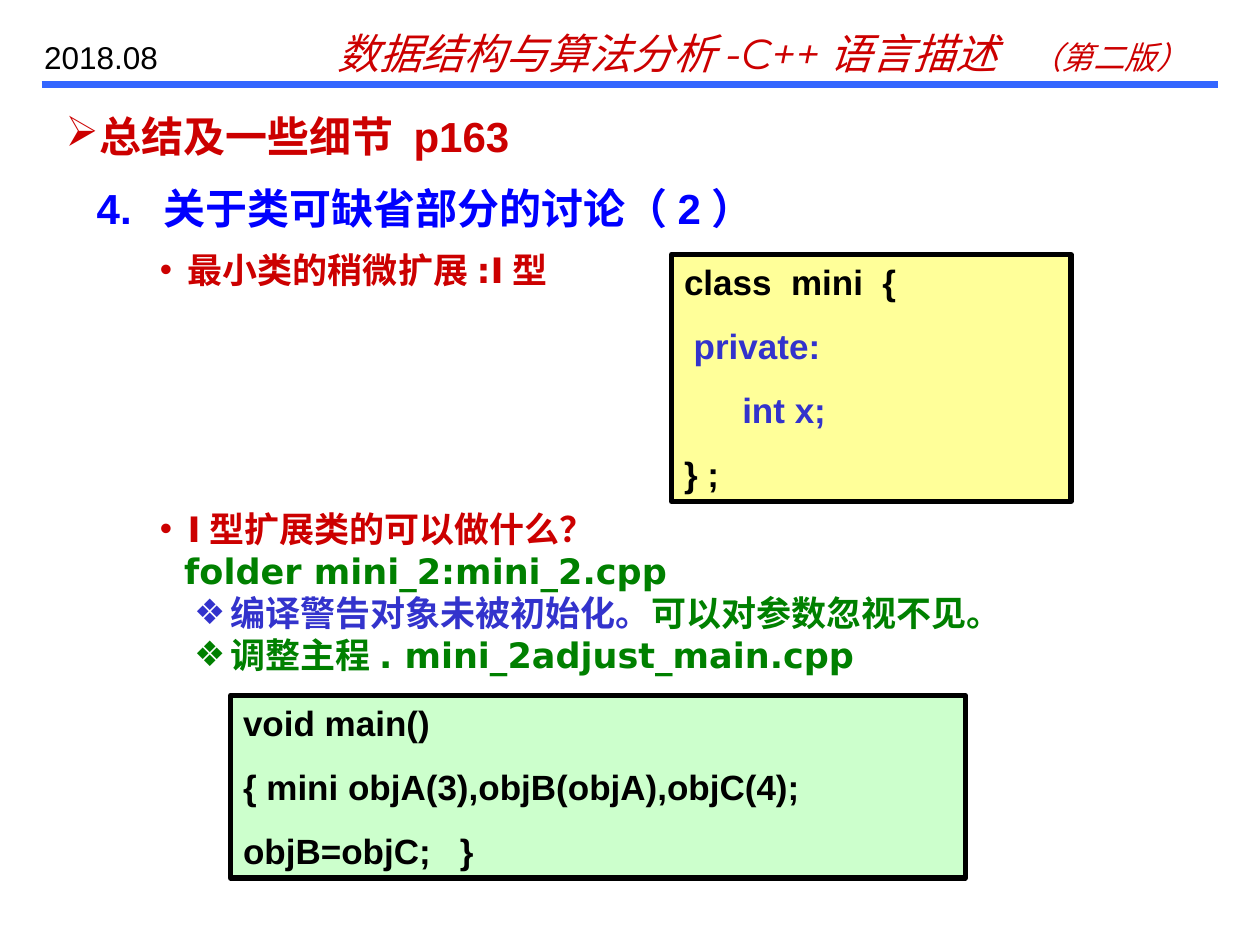
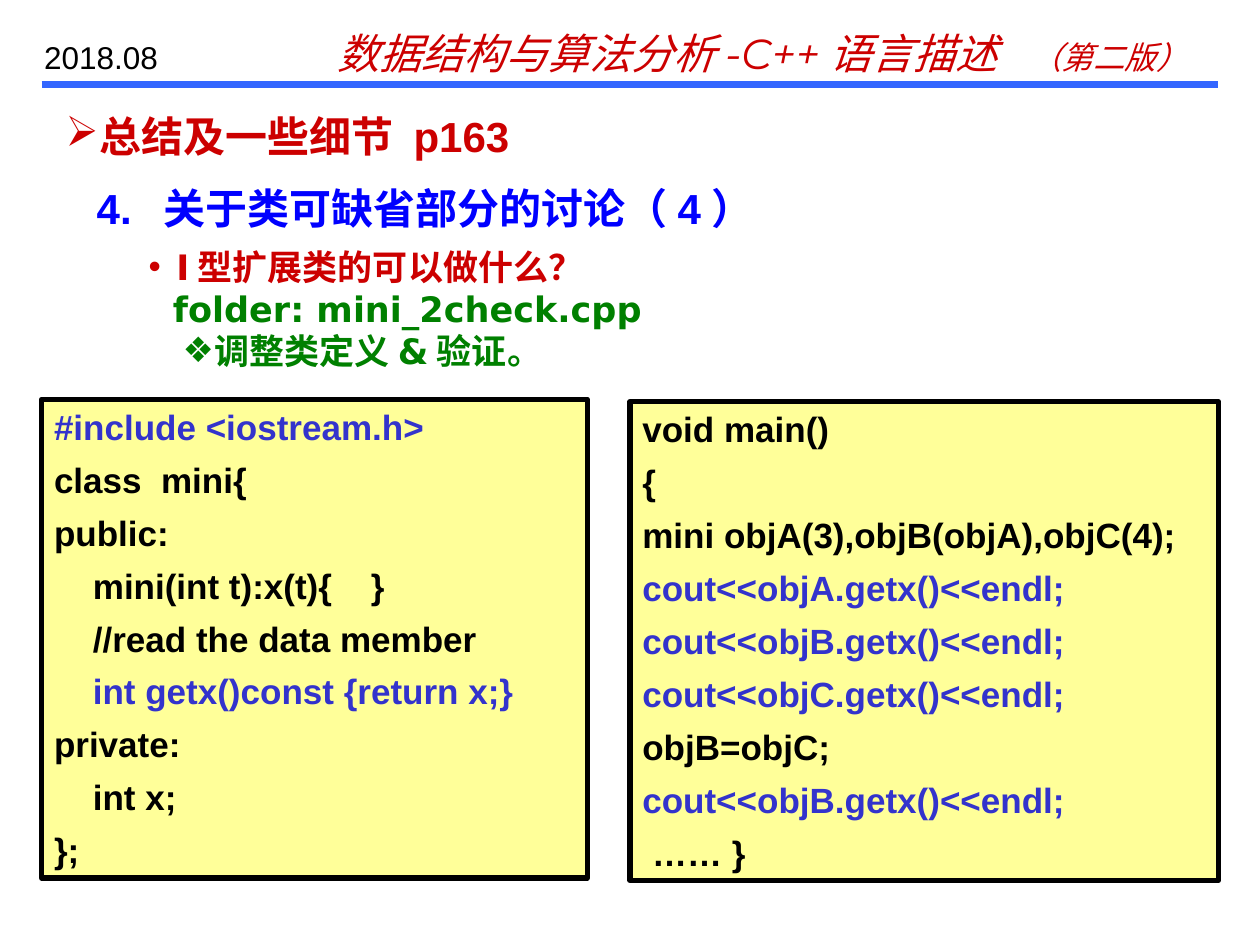
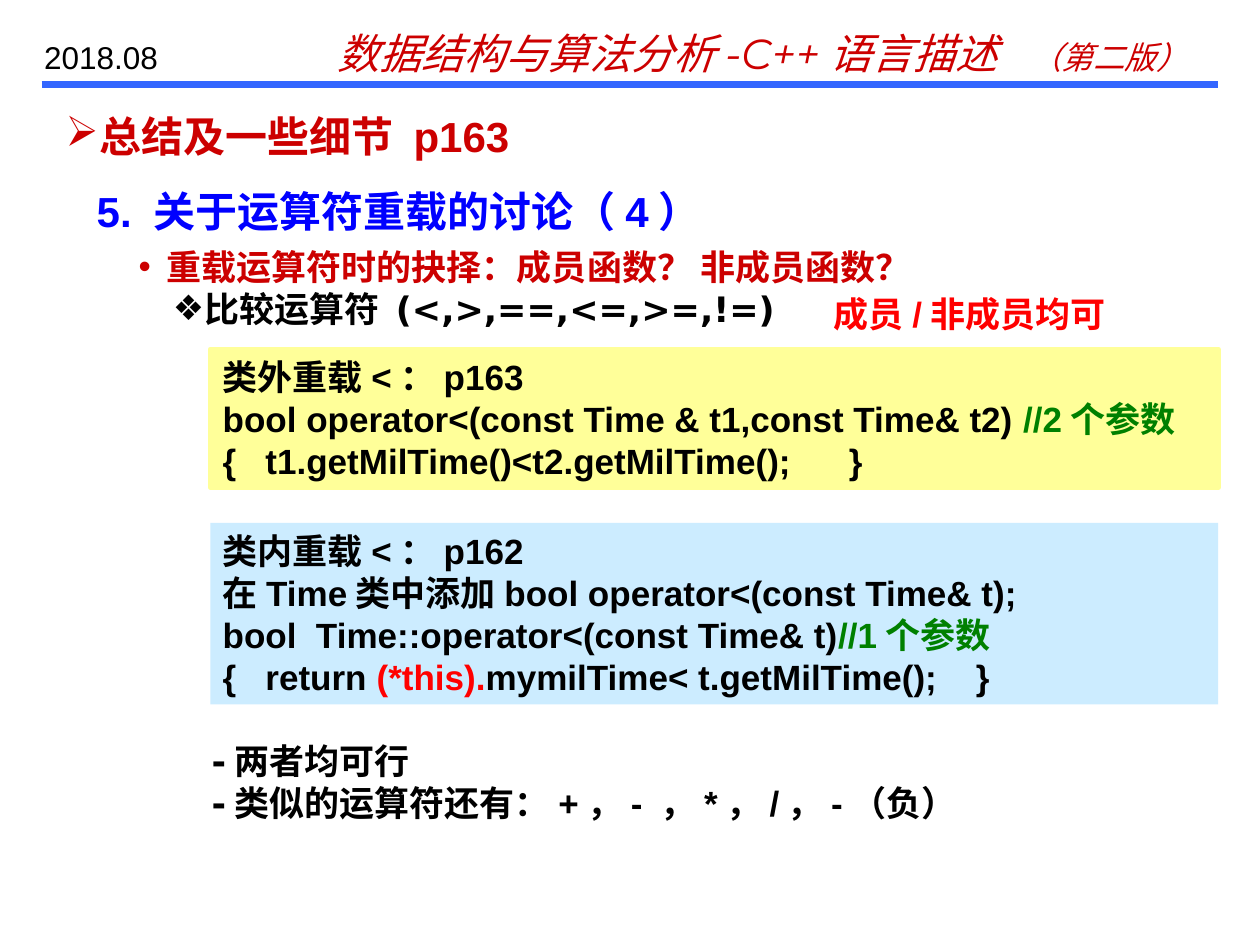
from dataclasses import dataclass

from lxml.etree import SubElement
from pptx import Presentation
from pptx.dml.color import RGBColor
from pptx.enum.shapes import MSO_CONNECTOR as Connector, MSO_SHAPE as Shape
from pptx.enum.shapes import PP_PLACEHOLDER as Holder
from pptx.enum.text import MSO_ANCHOR as Anchor, MSO_AUTO_SIZE as AutoSize, PP_ALIGN as Align
from pptx.oxml.ns import qn
from pptx.util import Cm, Pt


@dataclass(frozen=True)
class Theme:
    red: str = "CC0000"
    bright_red: str = "FF0000"
    blue: str = "0000FF"
    indigo: str = "3333CC"
    green: str = "008000"
    black: str = "000000"
    rule: str = "3366FF"
    yellow_fill: str = "FFFF99"
    green_fill: str = "CCFFCC"
    blue_fill: str = "CCECFF"
    code_font: str = "Arial"
    list_font: str = "DejaVu Sans"
    banner_font: str = "Montserrat"
    title_size: int = 24
    body_size: int = 20
    small_size: int = 18
    leading: float = 1.2


T = Theme()

# Paragraph kinds: bullet mark, left margin and hanging indent in cm, list level
KINDS = {
    "plain": (None, 0, 0, 0),
    "arrow": ("➢", 0.69, 0.69, 0),
    "number": (None, 1.35, 1.35, 0),
    "dot": ("•", 0.56, 0.56, 0),
    "folder": (None, 0.49, 0, 0),
    "diamond": ("❖", 1.27, 0.58, 1),
    "spaced diamond": ("❖", 1.42, 0.73, 1),
}


# ---- Text ----

def line(*parts, kind="plain"):
    """One paragraph: parts are (text, colour) or (text, colour, font or size)."""
    return kind, parts


def black(text):
    return line((text, T.black))


def indigo(text):
    return line((text, T.indigo))


def set_bullet(paragraph, kind, color, tab_stop=None):
    mark, margin, hang, level = KINDS[kind]
    paragraph.level = level
    props = paragraph._p.get_or_add_pPr()
    props.set("marL", str(Cm(margin)))
    props.set("indent", str(-Cm(hang)))
    if mark:
        tint = SubElement(props, qn("a:buClr"))
        SubElement(tint, qn("a:srgbClr"), val=color)
        SubElement(props, qn("a:buChar"), char=mark)
    else:
        SubElement(props, qn("a:buNone"))
    if tab_stop:
        tabs = SubElement(props, qn("a:tabLst"))
        SubElement(tabs, qn("a:tab"), pos=str(Cm(tab_stop)), algn="l")


def write(shape, lines, font, size=T.body_size, bold=True, italic=False,
          gap=0, tab_stop=None):
    frame = shape.text_frame
    for number, (kind, parts) in enumerate(lines):
        paragraph = frame.add_paragraph() if number else frame.paragraphs[0]
        set_bullet(paragraph, kind, parts[0][1], tab_stop)
        paragraph.alignment = Align.LEFT
        paragraph.line_spacing = Pt(size * T.leading)
        paragraph.space_before = Pt(gap if number else 0)
        for text, color, *change in parts:
            run = paragraph.add_run()
            run.text = text
            run.font.name, run.font.size = font, Pt(size)
            run.font.bold, run.font.italic = bold, italic
            run.font.color.rgb = RGBColor.from_string(color)
            for value in change:
                if isinstance(value, str):
                    run.font.name = value
                else:
                    run.font.size = Pt(value)


def place(shape, box):
    shape.left, shape.top, shape.width, shape.height = map(Cm, box)


# ---- Regions ----

def text_box(slide, box, lines, font=T.code_font, wrap=True, **style):
    area = slide.shapes.add_textbox(*map(Cm, box))
    area.text_frame.word_wrap = wrap
    write(area, lines, font, **style)
    return area


def code_box(slide, box, fill, lines, border=None, gap=0):
    panel = slide.shapes.add_shape(Shape.RECTANGLE, *map(Cm, box))
    panel.shadow.inherit = False
    panel.fill.solid()
    panel.fill.fore_color.rgb = RGBColor.from_string(fill)
    if border:
        panel.line.color.rgb = RGBColor.from_string(border)
        panel.line.width = Pt(3)
    else:
        panel.line.fill.background()
    panel.text_frame.word_wrap = True
    panel.text_frame.vertical_anchor = Anchor.TOP
    write(panel, lines, T.code_font, gap=gap)


def topic_list(slide, index, box, lines):
    body = slide.placeholders[index]
    place(body, box)
    body.text_frame.auto_size = AutoSize.SHAPE_TO_FIT_TEXT
    write(body, lines, T.list_font)


def headings(slide, subtitle, top=3.56):
    place(slide.shapes.title, (1.07, 2.11, 23.7, 1.27))
    write(slide.shapes.title, [line(("总结及一些细节 p163", T.red), kind="arrow")],
          T.code_font, size=T.title_size)
    text_box(slide, (1.7, top, 23.29, 1.27),
             [line((subtitle, T.blue), kind="number")], size=T.title_size)


def master_band(master, slide):
    """Builds the running header and moves it to the slide master."""
    unused = (Holder.DATE, Holder.FOOTER, Holder.SLIDE_NUMBER)
    for sheet in (master, *master.slide_layouts):
        for holder in list(sheet.placeholders):
            if holder.placeholder_format.type in unused:
                sheet.shapes.element.remove(holder.element)

    rule = slide.shapes.add_connector(
        Connector.STRAIGHT, Cm(0.84), Cm(1.7), Cm(24.56), Cm(1.7))
    rule.line.color.rgb = RGBColor.from_string(T.rule)
    rule.line.width = Pt(4)
    SubElement(rule.element.spPr, qn("a:effectLst"))
    book = text_box(
        slide, (6.55, 0.43, 17.78, 1.27),
        [line(("数据结构与算法分析-C++语言描述\t", T.red),
              ("（第二版）", T.red, T.small_size))],
        font=T.banner_font, size=T.title_size, bold=False, italic=True, tab_stop=13.67)
    date = text_box(slide, (0.64, 0.64, 3.61, 1.02), [black("2018.08")],
                    size=T.small_size, bold=False)
    for part in (rule, book, date):
        master.shapes.element.append(part.element)


# ---- Slides ----

def minimal_class_slide(slide):
    headings(slide, "4.\t关于类可缺省部分的讨论（2）")
    topic_list(slide, 1, (2.97, 4.88, 24.56, 1.12),
               [line(("最小类的稍微扩展:I型", T.red), kind="dot")])
    code_box(slide, (13.54, 5.13, 8.05, 4.98), T.yellow_fill, [
        black("class  mini  {"),
        indigo(" private:"),
        indigo("      int x;"),
        black("} ;"),
    ], border=T.black, gap=12.5)
    topic_list(slide, 2, (2.97, 10.11, 24.56, 3.66), [
        line(("I型扩展类的可以做什么？", T.red), kind="dot"),
        line(("folder mini_2:mini_2.cpp", T.green), kind="folder"),
        line(("编译警告对象未被初始化。", T.indigo), ("可以对参数忽视不见。", T.green),
             kind="spaced diamond"),
        line(("调整主程. mini_2adjust_main.cpp", T.green), kind="spaced diamond"),
    ])
    code_box(slide, (4.65, 14.02, 14.81, 3.68), T.green_fill, [
        black("void main()"),
        black("{ mini objA(3),objB(objA),objC(4);"),
        black("objB=objC;   }"),
    ], border=T.black, gap=12.5)


def check_slide(slide):
    headings(slide, "4.\t关于类可缺省部分的讨论（4）")
    topic_list(slide, 1, (2.74, 4.83, 24.56, 2.79), [
        line(("I型扩展类的可以做什么？", T.red), kind="dot"),
        line(("folder: mini_2check.cpp", T.green), kind="folder"),
        line(("调整类定义&验证。", T.green), kind="diamond"),
    ])
    code_box(slide, (0.84, 8.05, 11, 9.65), T.yellow_fill, [
        indigo("#include <iostream.h>"),
        black("class  mini{"),
        black("public:"),
        black("    mini(int t):x(t){    }"),
        black("    //read the data member"),
        indigo("    int getx()const {return x;}"),
        black("private:"),
        black("    int x;"),
        black("};"),
    ], border=T.black, gap=6.2)
    code_box(slide, (12.7, 8.1, 11.86, 9.65), T.yellow_fill, [
        black("void main()"),
        black("{"),
        black("mini objA(3),objB(objA),objC(4);"),
        *(indigo(f"cout<<obj{name}.getx()<<endl;") for name in "ABC"),
        black("objB=objC;"),
        indigo("cout<<objB.getx()<<endl;"),
        black(" …… }"),
    ], border=T.black, gap=6.2)


def operator_slide(slide):
    headings(slide, "5. 关于运算符重载的讨论（4）", top=3.61)
    topic_list(slide, 1, (2.54, 4.83, 21.79, 1.96), [
        line(("重载运算符时的抉择：成员函数？ 非成员函数？", T.red), kind="dot"),
        line(("比较运算符 (<,>,==,<=,>=,!=)", T.black), kind="diamond"),
    ])
    code_box(slide, (4.24, 7.04, 20.32, 2.79), T.yellow_fill, [
        black("类外重载<：p163"),
        line(("bool operator<(const Time & t1,const Time& t2) ", T.black),
             ("//2个参数", T.green)),
        black("{   t1.getMilTime()<t2.getMilTime();      }"),
    ], border=T.yellow_fill)
    code_box(slide, (4.24, 10.54, 20.32, 3.66), T.blue_fill, [
        black("类内重载<：p162"),
        black("在Time类中添加bool operator<(const Time& t);"),
        line(("bool  Time::operator<(const Time& t)", T.black), ("//1个参数", T.green)),
        line(("{   return ", T.black), ("(*this).", T.bright_red),
             ("mymilTime< t.getMilTime();    }", T.black)),
    ])
    topic_list(slide, 2, (4.01, 14.78, 21.79, 1.96), [
        black("-两者均可行"),
        line(("-类似的运算符还有：", T.black),
             ("+，- ，*，/，-（负）", T.black, T.code_font)),
    ])
    text_box(slide, (16.56, 5.77, 5.99, 1.12),
             [line(("成员/非成员均可", T.bright_red))], wrap=False)


def main():
    deck = Presentation()
    deck.slide_width, deck.slide_height = Cm(25.4), Cm(19.05)
    one_list, two_lists = deck.slide_layouts[1], deck.slide_layouts[3]
    pages = ((two_lists, minimal_class_slide), (one_list, check_slide),
             (two_lists, operator_slide))
    for number, (layout, build) in enumerate(pages):
        slide = deck.slides.add_slide(layout)
        if number == 0:
            master_band(deck.slide_master, slide)
        build(slide)
    deck.save("out.pptx")


if __name__ == "__main__":
    main()
